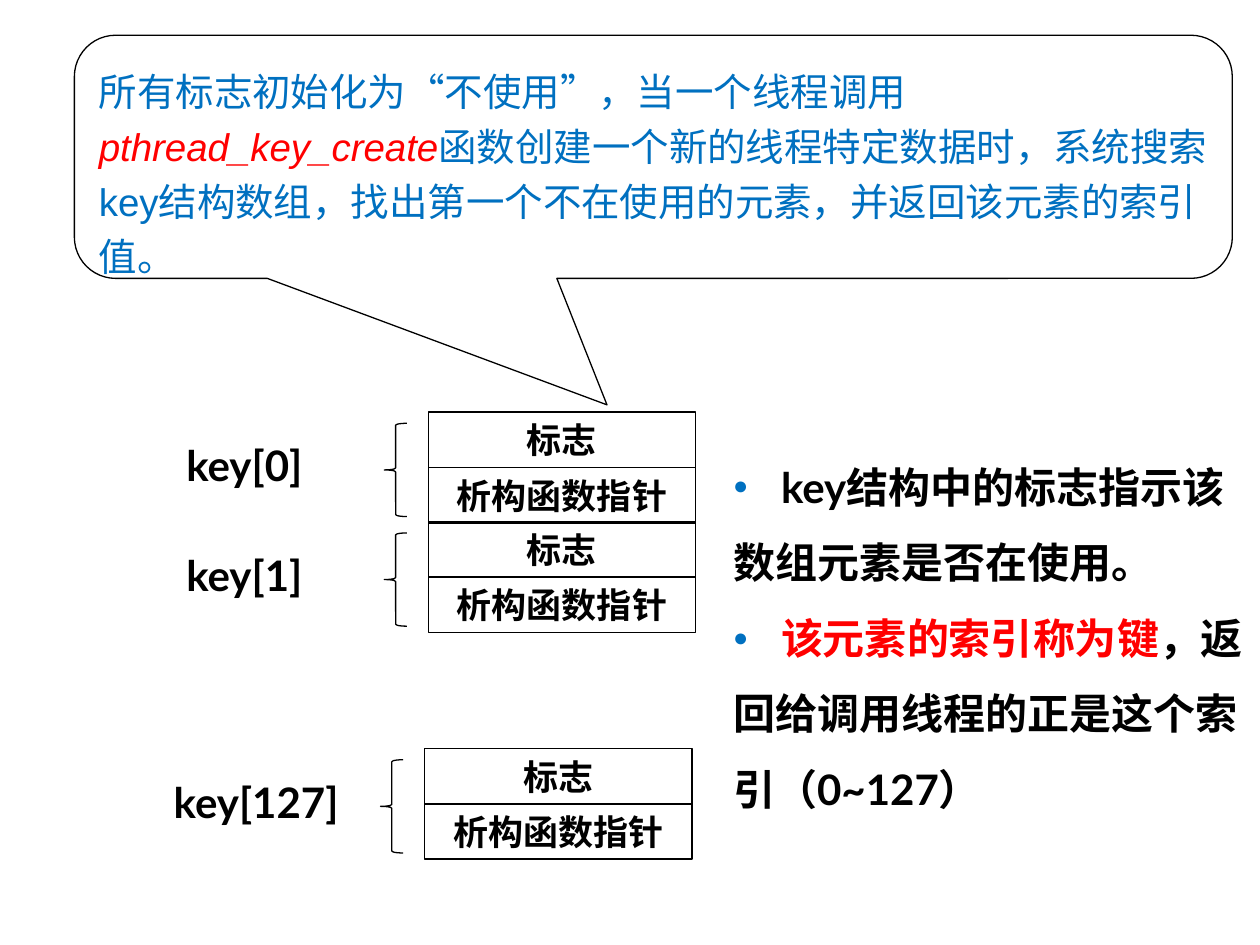
"""Build the slide that explains the key structure array of thread-specific data."""
import pptx
import pptx.util
import pptx.dml.color
import pptx.enum.lang
import pptx.enum.shapes
import pptx.enum.text
import pptx.oxml.ns
import lxml.etree

PX = pptx.util.Inches(1) // 100
BLACK = pptx.dml.color.RGBColor(0, 0, 0)
WHITE = pptx.dml.color.RGBColor(255, 255, 255)
BLUE = pptx.dml.color.RGBColor(0, 112, 192)
RED = pptx.dml.color.RGBColor(255, 0, 0)
SHAPES = pptx.enum.shapes.MSO_SHAPE
ANCHORS = pptx.enum.text.MSO_ANCHOR
CJK = "Noto Sans CJK SC"

deck = pptx.Presentation()
deck.slide_width, deck.slide_height = 1000 * PX, 750 * PX
page = deck.slides.add_slide(deck.slide_layouts[6])


def add_box(kind, left, top, width, height, line_width=None):
    place = [value * PX for value in (left, top, width, height)]
    if kind is None:
        box = page.shapes.add_textbox(*place)
    else:
        box = page.shapes.add_shape(kind, *place)
        box.shadow.inherit = False
        box.fill.background()
        box.line.color.rgb = BLACK
        box.line.width = pptx.util.Pt(line_width)
    box.text_frame.word_wrap = True
    box.text_frame.vertical_anchor = ANCHORS.TOP
    return box


def add_span(para, text, size, face, color, bold=False, italic=False, asian="Lato"):
    span = para.add_run()
    span.text = text
    span.font.size = pptx.util.Pt(size)
    span.font.name = face
    span.font.color.rgb = color
    span.font.bold = bold
    span.font.italic = italic
    span.font.language_id = pptx.enum.lang.MSO_LANGUAGE_ID.SIMPLIFIED_CHINESE
    east_asian = lxml.etree.SubElement(span.font._element, pptx.oxml.ns.qn("a:ea"))
    east_asian.set("typeface", asian)


ENTRIES = [
    ("key[0]", 340, 327, 138, 132),
    ("key[1]", 340, 414, 138, 132),
    ("key[127]", 337, 594, 128, 175),
]
for label, left, top, label_left, label_width in ENTRIES:
    for row, text in enumerate(["标志", "析构函数指针"]):
        cell = add_box(SHAPES.RECTANGLE, left, top + 44 * row, 212, 44, 1)
        cell.text_frame.vertical_anchor = ANCHORS.MIDDLE
        cell.text_frame.margin_top = cell.text_frame.margin_bottom = 0
        para = cell.text_frame.paragraphs[0]
        para.alignment = pptx.enum.text.PP_ALIGN.CENTER
        add_span(para, text, 20, CJK, BLACK, bold=True)
    add_box(SHAPES.LEFT_BRACE, left - 35, top + 9, 18, 74, 0.75)
    name = add_box(None, label_left, top + 17, label_width, 50)
    add_span(name.text_frame.paragraphs[0], label, 24, "Lato", BLACK, bold=True)

NOTES = [
    (True, [("key结构中的标志指示该", "Lato", BLACK)]),
    (False, [("数组元素是否在使用。", "Lato", BLACK)]),
    (True, [("该元素的索引称为键", CJK, RED), ("，返", "Lato", BLACK)]),
    (False, [("回给调用线程的正是这个索", "Lato", BLACK)]),
    (False, [("引（0~127）", "Lato", BLACK)]),
]
notes = add_box(None, 572, 341, 428, 353)
notes.text_frame.margin_right = 0
for number, (bulleted, spans) in enumerate(NOTES):
    para = notes.text_frame.add_paragraph() if number else notes.text_frame.paragraphs[0]
    para.line_spacing = 1.5
    if bulleted:
        properties = para._p.get_or_add_pPr()
        properties.set("marL", str(38 * PX))
        properties.set("indent", str(-38 * PX))
        color = lxml.etree.SubElement(properties, pptx.oxml.ns.qn("a:buClr"))
        lxml.etree.SubElement(color, pptx.oxml.ns.qn("a:srgbClr")).set("val", str(BLUE))
        for tag, key, value in [
            ("a:buSzPct", "val", "60000"),
            ("a:buFont", "typeface", "Arial"),
            ("a:buChar", "char", "●"),
        ]:
            lxml.etree.SubElement(properties, pptx.oxml.ns.qn(tag)).set(key, value)
    for text, face, color in spans:
        add_span(para, text, 24, face, color, bold=True)

callout = add_box(SHAPES.ROUNDED_RECTANGULAR_CALLOUT, 59, 28, 919, 193, 0.75)
callout.fill.solid()
callout.fill.fore_color.rgb = WHITE
for position, value in enumerate([-0.04, 1.02, 0.17]):
    callout.adjustments[position] = value
callout.text_frame.margin_top = 9 * PX
para = callout.text_frame.paragraphs[0]
para.alignment = pptx.enum.text.PP_ALIGN.LEFT
para.line_spacing = pptx.util.Pt(31.5)
add_span(para, "所有标志初始化为“不使用”，当一个线程调用", 22, "Comic Neue", BLUE, asian=CJK)
add_span(para, "pthread_key_create", 22, "Arial", RED, italic=True, asian=CJK)
add_span(
    para,
    "函数创建一个新的线程特定数据时，系统搜索key结构数组，"
    "找出第一个不在使用的元素，并返回该元素的索引值。",
    22, "Arial", BLUE, asian=CJK,
)

deck.save("out.pptx")
